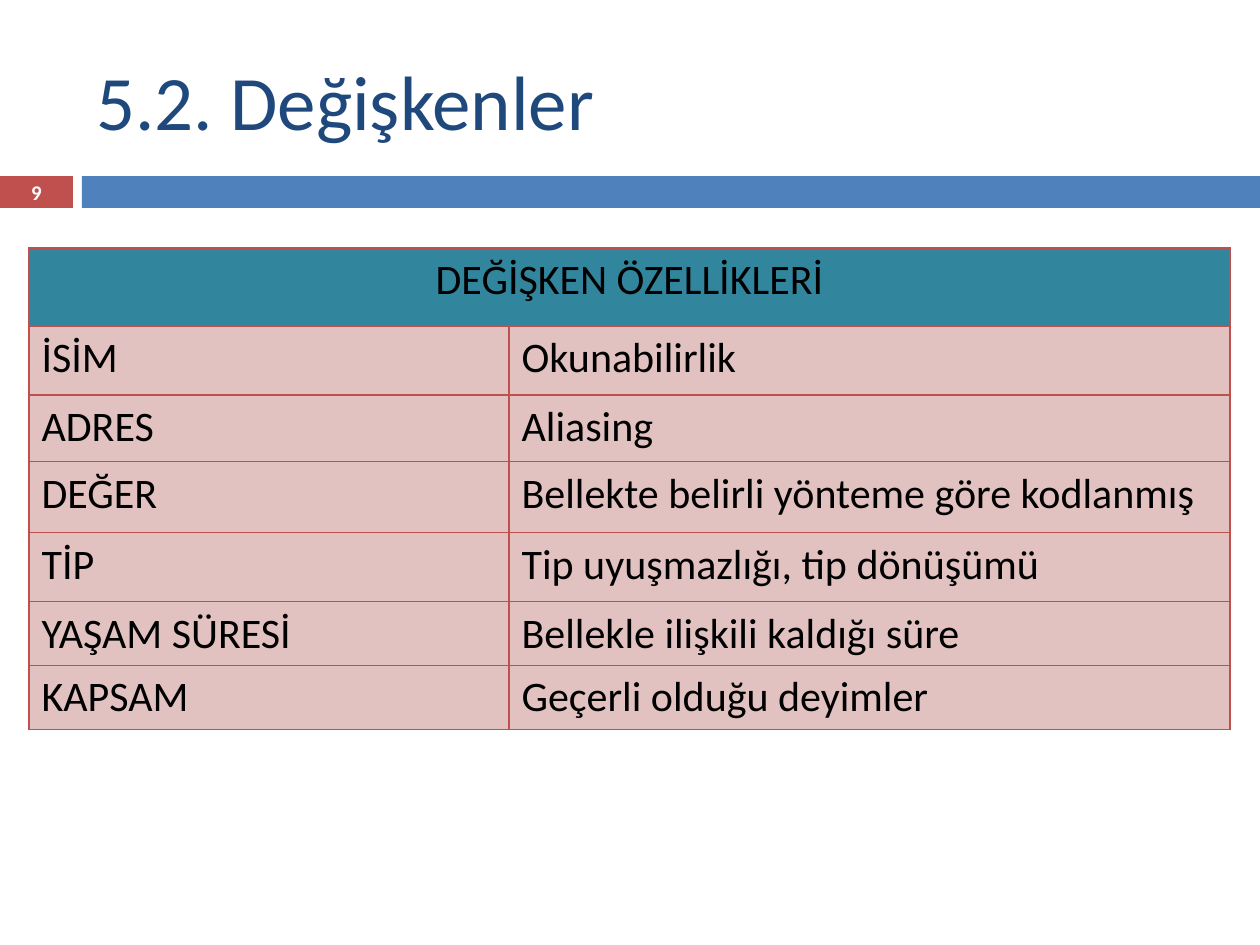
from lxml import etree
from pptx import Presentation
from pptx import util as u
from pptx.dml.color import RGBColor
from pptx.enum import shapes, text
from pptx.oxml import ns

SCALE = 914400 / 126
COLORS = {
    "red": "C0504D", "blue": "4F81BD", "navy": "1F497D", "teal": "31859C",
    "pink": "E2C2C1", "black": "000000", "white": "FFFFFF",
}
HEADING = "DEĞİŞKEN ÖZELLİKLERİ"
PROPERTIES = [
    ("İSİM", "Okunabilirlik"),
    ("ADRES", "Aliasing"),
    ("DEĞER", "Bellekte belirli yönteme göre kodlanmış"),
    ("TİP", "Tip uyuşmazlığı, tip dönüşümü"),
    ("YAŞAM SÜRESİ", "Bellekle ilişkili kaldığı süre"),
    ("KAPSAM", "Geçerli olduğu deyimler"),
]
COLUMN_WIDTHS = [480, 721]
ROW_HEIGHTS = [78, 69, 67, 71, 69, 64, 64]


def px(length):
    return u.Emu(round(length * SCALE))


def color(name):
    return RGBColor.from_string(COLORS[name])


def write(frame, words, ink, align=text.PP_ALIGN.LEFT, **formats):
    para = frame.paragraphs[0]
    para.alignment = align
    span = para.add_run()
    span.text = words
    for name, value in {"name": "Calibri", **formats}.items():
        setattr(span.font, name, value)
    span.font.color.rgb = color(ink)


def add_bar(page, area, fill):
    bar = page.shapes.add_shape(shapes.MSO_SHAPE.RECTANGLE, *map(px, area))
    bar.shadow.inherit = False
    bar.fill.solid()
    bar.fill.fore_color.rgb = color(fill)
    bar.line.fill.background()


def add_label(page, area, words, ink, **formats):
    frame = page.shapes.add_textbox(*map(px, area)).text_frame
    frame.word_wrap = True
    frame.vertical_anchor = text.MSO_ANCHOR.MIDDLE
    write(frame, words, ink, **formats)


def add_borders(cell, ink, width):
    properties = cell._tc.get_or_add_tcPr()
    for index, side in enumerate(("lnL", "lnR", "lnT", "lnB")):
        line = etree.Element(ns.qn(f"a:{side}"), w=str(u.Pt(width)))
        fill = etree.SubElement(line, ns.qn("a:solidFill"))
        etree.SubElement(fill, ns.qn("a:srgbClr"), val=COLORS[ink])
        properties.insert(index, line)


def add_properties_table(page, left, top):
    frame = page.shapes.add_table(
        len(ROW_HEIGHTS), len(COLUMN_WIDTHS), px(left), px(top),
        px(sum(COLUMN_WIDTHS)), px(sum(ROW_HEIGHTS)))
    table = frame.table
    for column, width in zip(table.columns, COLUMN_WIDTHS):
        column.width = px(width)
    for row, height in zip(table.rows, ROW_HEIGHTS):
        row.height = px(height)
    for row_index, row in enumerate(table.rows):
        for cell in row.cells:
            cell.fill.solid()
            cell.fill.fore_color.rgb = color("pink" if row_index else "teal")
            add_borders(cell, "red", 0.79)
    heading = table.cell(0, 0)
    heading.merge(table.cell(0, 1))
    style = {"size": u.Pt(24), "bold": False}
    write(heading.text_frame, HEADING, "black", text.PP_ALIGN.CENTER, **style)
    for row_index, entry in enumerate(PROPERTIES, 1):
        for column_index, words in enumerate(entry):
            cell = table.cell(row_index, column_index)
            write(cell.text_frame, words, "black", **style)


def main():
    """Build the slide on variable properties and save it."""
    deck = Presentation()
    deck.slide_width, deck.slide_height = px(1260), px(945)
    page = deck.slides.add_slide(deck.slide_layouts[6])
    add_bar(page, (0, 176, 73, 32), "red")
    add_bar(page, (82, 176, 1178, 32), "blue")
    add_label(page, (84, 32, 1124, 136), "5.2. Değişkenler", "navy", size=u.Pt(44))
    add_label(page, (0, 175, 73, 34), "9", "white", align=text.PP_ALIGN.CENTER,
              size=u.Pt(11.9), bold=True)
    add_properties_table(page, 29, 248)
    deck.save("out.pptx")


if __name__ == "__main__":
    main()
